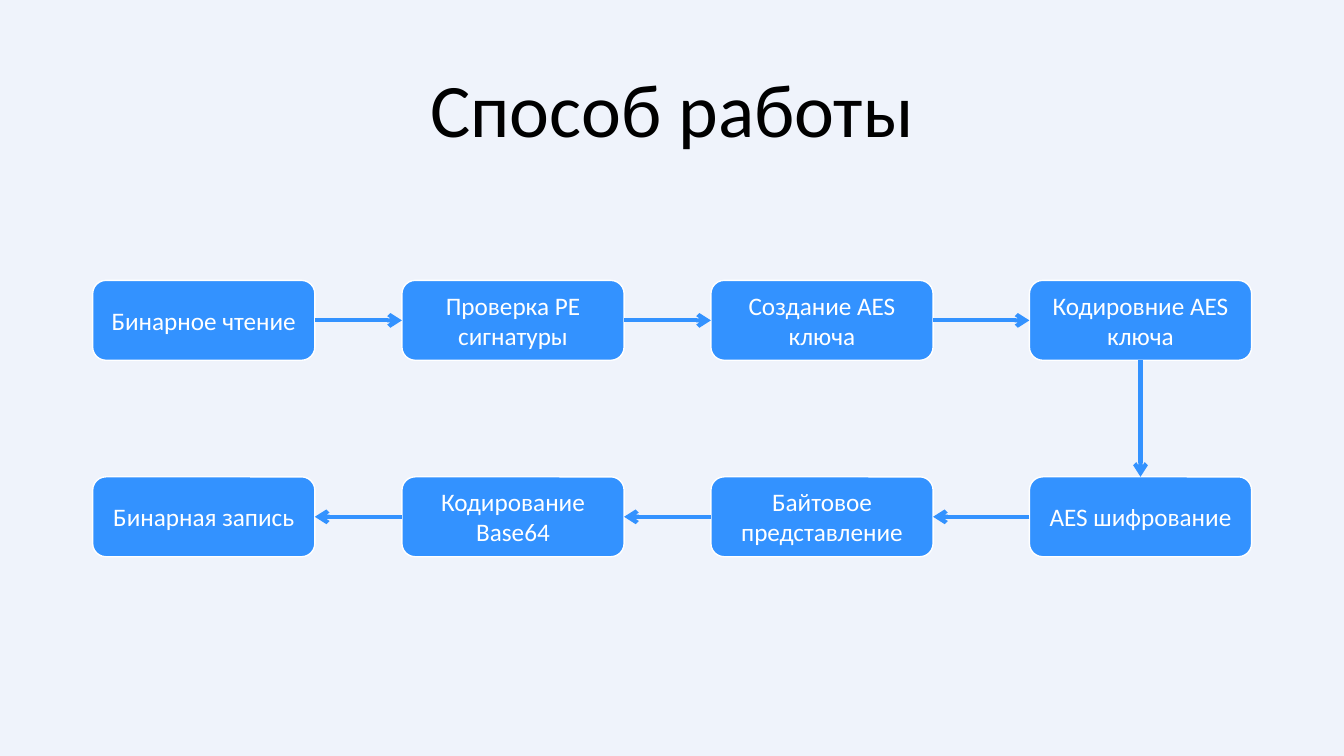
import itertools

import lxml.etree
import pptx
import pptx.dml.color
import pptx.enum.shapes
import pptx.enum.text
import pptx.oxml.ns
import pptx.util

Pt = pptx.util.Pt
BACKGROUND = pptx.dml.color.RGBColor(0xEF, 0xF3, 0xFB)
BLUE = pptx.dml.color.RGBColor(0x33, 0x92, 0xFF)
WHITE = pptx.dml.color.RGBColor(0xFF, 0xFF, 0xFF)
BLACK = pptx.dml.color.RGBColor(0x00, 0x00, 0x00)

TOP, LEFT, BOTTOM, RIGHT = range(4)
COLUMNS = (66.2, 287.1, 507.8, 735.3)
READ_ROW, WRITE_ROW = 200.3, 340.6
STEP_WIDTH, STEP_HEIGHT = 158.7, 57.1
READ_STEPS = (
    "Бинарное чтение",
    "Проверка PE сигнатуры",
    "Создание AES ключа",
    "Кодировние AES ключа",
)
WRITE_STEPS = (
    "AES шифрование",
    "Байтовое представление",
    "Кодирование Base64",
    "Бинарная запись",
)


def set_values(target, values):
    for name, value in values.items():
        setattr(target, name, value)


def write_text(box, text, size, color, line_spacing):
    frame = box.text_frame
    set_values(frame, {
        "text": text,
        "word_wrap": True,
        "vertical_anchor": pptx.enum.text.MSO_ANCHOR.MIDDLE,
    })
    paragraph = frame.paragraphs[0]
    set_values(paragraph, {
        "alignment": pptx.enum.text.PP_ALIGN.CENTER,
        "line_spacing": line_spacing,
    })
    font = paragraph.runs[0].font
    set_values(font, {"name": "Calibri", "size": Pt(size)})
    font.color.rgb = color


def add_title(slide, text):
    title = slide.shapes.add_textbox(Pt(66), Pt(28.8), Pt(828), Pt(104.4))
    write_text(title, text, 54, BLACK, 0.9)


def add_step(slide, text, left, top):
    step = slide.shapes.add_shape(
        pptx.enum.shapes.MSO_SHAPE.ROUNDED_RECTANGLE,
        Pt(left), Pt(top), Pt(STEP_WIDTH), Pt(STEP_HEIGHT),
    )
    step.shadow.inherit = False
    step.fill.solid()
    step.fill.fore_color.rgb = BLUE
    step.line.color.rgb = WHITE
    step.line.width = Pt(1)
    write_text(step, text, 18, WHITE, 1.0)
    return step


def add_arrow(slide, source, source_side, target, target_side):
    arrow = slide.shapes.add_connector(
        pptx.enum.shapes.MSO_CONNECTOR.STRAIGHT, Pt(0), Pt(0), Pt(0), Pt(0)
    )
    arrow.begin_connect(source, source_side)
    arrow.end_connect(target, target_side)
    arrow.line.color.rgb = BLUE
    arrow.line.width = Pt(3)
    qn = pptx.oxml.ns.qn
    outline = arrow.line._get_or_add_ln()
    lxml.etree.SubElement(outline, qn("a:tailEnd"), type="arrow")
    lxml.etree.SubElement(outline.getparent(), qn("a:effectLst"))


def add_row(slide, texts, columns, top, exit_side, entry_side):
    steps = [add_step(slide, text, left, top) for text, left in zip(texts, columns)]
    for source, target in itertools.pairwise(steps):
        add_arrow(slide, source, exit_side, target, entry_side)
    return steps


def main():
    deck = pptx.Presentation()
    set_values(deck, {"slide_width": Pt(960), "slide_height": Pt(540)})
    slide = deck.slides.add_slide(deck.slide_layouts[6])
    slide.background.fill.solid()
    slide.background.fill.fore_color.rgb = BACKGROUND

    add_title(slide, "Способ работы")
    read_row = add_row(slide, READ_STEPS, COLUMNS, READ_ROW, RIGHT, LEFT)
    write_row = add_row(slide, WRITE_STEPS, COLUMNS[::-1], WRITE_ROW, LEFT, RIGHT)
    add_arrow(slide, read_row[-1], BOTTOM, write_row[0], TOP)

    deck.save("out.pptx")


if __name__ == "__main__":
    main()
